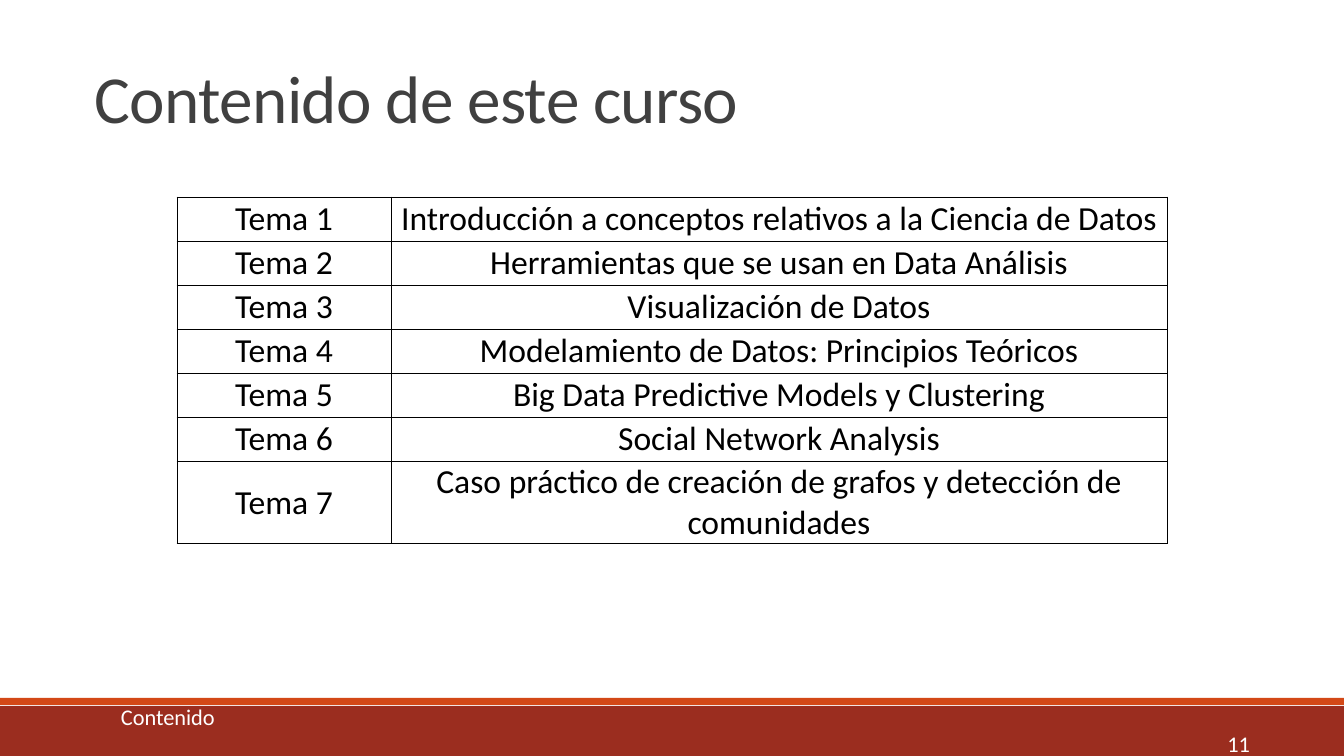
from lxml.etree import SubElement
from pptx import Presentation
from pptx.dml.color import RGBColor
from pptx.enum.shapes import MSO_SHAPE as Shape
from pptx.enum.text import MSO_ANCHOR as Anchor, PP_ALIGN as Align
from pptx.oxml.ns import qn
from pptx.util import Pt

PX = 914400 / 100.8
FONT = "Calibri"
WHITE = RGBColor(0xFF, 0xFF, 0xFF)
BLACK = RGBColor(0, 0, 0)
GREY = RGBColor(0x40, 0x40, 0x40)
BRICK = RGBColor(0x9B, 0x2D, 0x1F)
ORANGE = RGBColor(0xD3, 0x48, 0x17)

TOPICS = [
    "Introducción a conceptos relativos a la Ciencia de Datos",
    "Herramientas que se usan en Data Análisis",
    "Visualización de Datos",
    "Modelamiento de Datos: Principios Teóricos",
    "Big Data Predictive Models y Clustering",
    "Social Network Analysis",
    "Caso práctico de creación de grafos y detección de comunidades",
]
COLUMN_WIDTHS = [214, 776]
ROW_HEIGHTS = [44] * (len(TOPICS) - 1) + [83]


def px(length):
    """Turn pixels into EMU."""
    return round(length * PX)


def add_bar(slide, top, height, color):
    """Draw a plain band across the whole slide."""
    bar = slide.shapes.add_shape(Shape.RECTANGLE, 0, px(top), px(1344), px(height))
    bar.shadow.inherit = False
    bar.fill.solid()
    bar.fill.fore_color.rgb = color
    bar.line.fill.background()


def add_frame(slide, left, top, width, height, anchor):
    """Add a wrapping text box and return its text frame."""
    frame = slide.shapes.add_textbox(px(left), px(top), px(width), px(height)).text_frame
    frame.word_wrap = True
    frame.vertical_anchor = anchor
    return frame


def write(paragraph, text, size, color, align):
    """Add one styled run to a paragraph and return it."""
    paragraph.alignment = align
    run = paragraph.add_run()
    run.text = text
    run.font.name = FONT
    run.font.size = Pt(size)
    run.font.color.rgb = color
    return run


def add_title(slide):
    """Write the slide title with tightened letters."""
    title = add_frame(slide, 85, 64, 1109, 81, Anchor.TOP).paragraphs[0]
    title.line_spacing = 0.85
    run = write(title, "Contenido de este curso", 48, GREY, Align.LEFT)
    run.font._element.set("spc", "-50")


def add_footer(slide):
    """Write the section name and the page number on two lines."""
    footer = add_frame(slide, 85, 713, 1175, 35, Anchor.MIDDLE)
    section = footer.paragraphs[0]
    section._p.get_or_add_pPr().set("marL", str(px(26)))
    write(section, "Contenido", 16, WHITE, Align.LEFT)
    write(footer.add_paragraph(), "11", 16, WHITE, Align.RIGHT)


def outline(cell):
    """Give a cell thin black borders and no fill."""
    properties = cell._tc.get_or_add_tcPr()
    for side in ("lnL", "lnR", "lnT", "lnB"):
        border = SubElement(properties, qn(f"a:{side}"), w=str(Pt(0.5)))
        fill = SubElement(border, qn("a:solidFill"))
        SubElement(fill, qn("a:srgbClr"), val=str(BLACK))
    cell.fill.background()


def fill_cell(cell, text):
    """Write centred text into an outlined cell."""
    cell.margin_left = cell.margin_right = cell.margin_top = px(1)
    cell.margin_bottom = 0
    cell.vertical_anchor = Anchor.MIDDLE
    outline(cell)
    write(cell.text_frame.paragraphs[0], text, 24, BLACK, Align.CENTER)


def add_topics(slide):
    """Build the table of course topics."""
    topics = slide.shapes.add_table(
        len(TOPICS), len(COLUMN_WIDTHS), px(177), px(197),
        px(sum(COLUMN_WIDTHS)), px(sum(ROW_HEIGHTS))).table
    topics.first_row = topics.horz_banding = False
    for column, width in zip(topics.columns, COLUMN_WIDTHS):
        column.width = px(width)
    for number, (row, height, topic) in enumerate(zip(topics.rows, ROW_HEIGHTS, TOPICS), 1):
        row.height = px(height)
        for cell, text in zip(row.cells, (f"Tema {number}", topic)):
            fill_cell(cell, text)


def main():
    """Build the course contents slide."""
    deck = Presentation()
    deck.slide_width, deck.slide_height = px(1344), px(756)
    slide = deck.slides.add_slide(deck.slide_layouts[6])
    add_bar(slide, 706, 50, BRICK)
    add_bar(slide, 698, 7, ORANGE)
    add_footer(slide)
    add_title(slide)
    add_topics(slide)
    deck.save("out.pptx")


if __name__ == "__main__":
    main()
